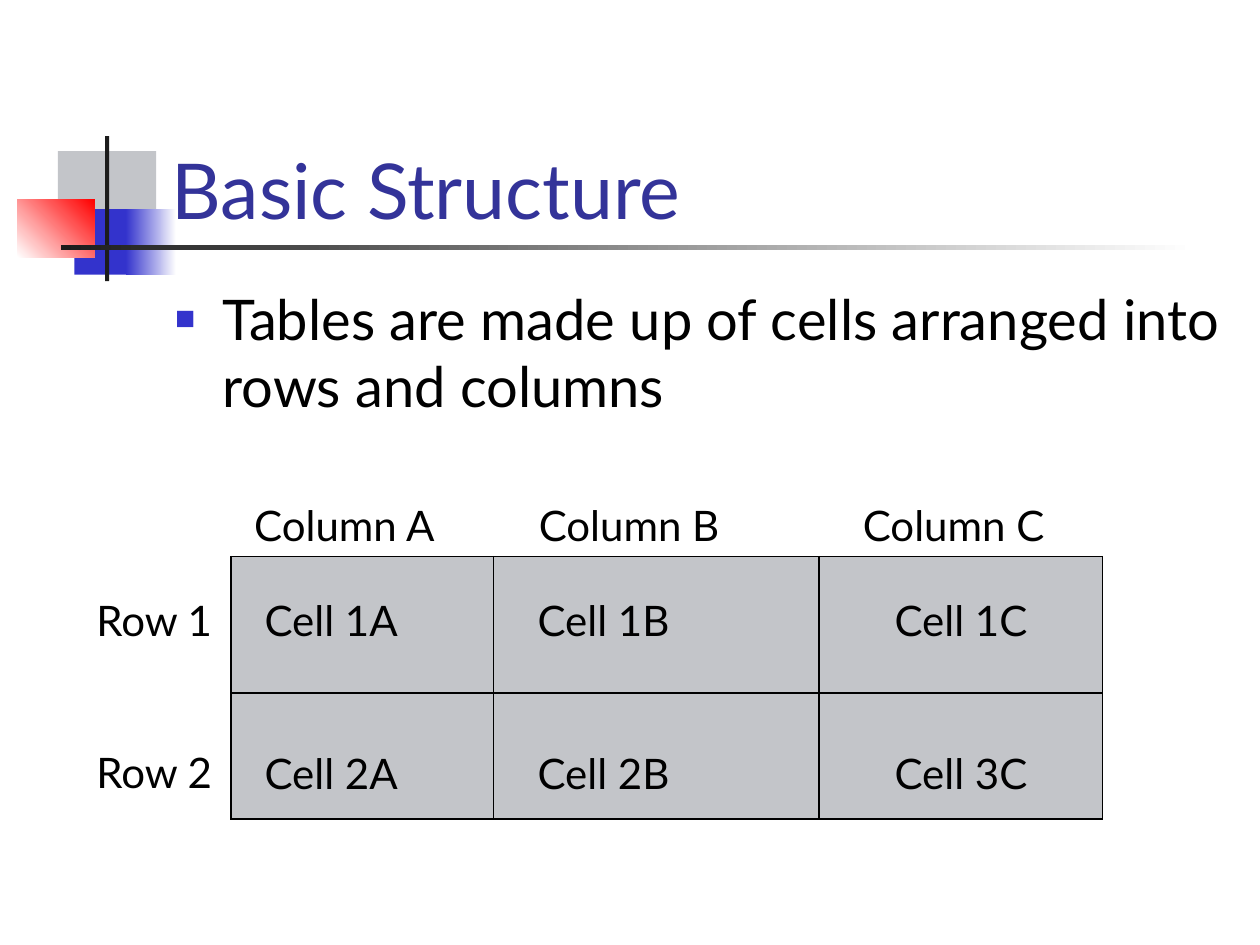
from lxml.etree import SubElement
from pptx import Presentation
from pptx.dml.color import RGBColor
from pptx.enum.shapes import MSO_SHAPE
from pptx.enum.text import MSO_ANCHOR
from pptx.oxml.ns import qn
from pptx.util import Pt

FONT = "Lato"
BLACK = RGBColor(0x00, 0x00, 0x00)
WHITE = RGBColor(0xFF, 0xFF, 0xFF)
GREY = RGBColor(0xC3, 0xC5, 0xC9)
BLUE = RGBColor(0x33, 0x33, 0xCC)
NAVY = RGBColor(0x33, 0x33, 0x99)
RED = RGBColor(0xFF, 0x00, 0x00)
DARK = RGBColor(0x1C, 0x1C, 0x1C)

# Left, top, width, height, fill colours and gradient angle
ORNAMENTS = [
    (33.1, 86.4, 34.6, 37.4, [GREY], 0),
    (63.4, 86.4, 25.9, 37.4, [GREY], 0),
    (42.5, 119.5, 33.1, 37.4, [BLUE], 0),
    (72, 119.5, 28.8, 37.4, [BLUE, WHITE], 0),
    (10, 113.8, 44, 33.1, [WHITE, RED], 45),
    (60, 77.8, 2.4, 82.8, [DARK], 0),
    (34.8, 140.2, 648, 2.4, [DARK, WHITE], 0),
]

TABLE_LEFT, TABLE_TOP = 132, 318
COLUMN_WIDTHS = [150, 186, 162]
ROW_HEIGHTS = [78, 72]
CELL_LEFT_MARGINS = [19.2, 25.2, 43.2]
CELL_TOP_MARGINS = [22, 31.4]
CELLS = [["Cell 1A", "Cell 1B", "Cell 1C"], ["Cell 2A", "Cell 2B", "Cell 3C"]]
COLUMN_LABELS = [("Column A", 145.4), ("Column B", 308), ("Column C", 493.2)]
ROW_LABELS = ["Row 1", "Row 2"]


def add_span(para, text, size, color=BLACK):
    """Add one formatted run to a paragraph."""
    span = para.add_run()
    span.text = text
    span.font.name = FONT
    span.font.size = Pt(size)
    span.font.color.rgb = color


def add_box(page, left, top, width, height, anchor=MSO_ANCHOR.TOP):
    """Add an empty wrapping text box and return its text frame."""
    box = page.shapes.add_textbox(Pt(left), Pt(top), Pt(width), Pt(height))
    frame = box.text_frame
    frame.word_wrap = True
    frame.vertical_anchor = anchor
    return frame


def add_ornament(page, left, top, width, height, colors, angle):
    """Add a borderless rectangle with a plain or gradient fill."""
    block = page.shapes.add_shape(
        MSO_SHAPE.RECTANGLE, Pt(left), Pt(top), Pt(width), Pt(height))
    block.shadow.inherit = False
    block.line.fill.background()
    if len(colors) == 1:
        block.fill.solid()
        block.fill.fore_color.rgb = colors[0]
        return
    block.fill.gradient()
    block.fill.gradient_angle = angle
    for stop, color, position in zip(block.fill.gradient_stops, colors, (0, 1)):
        stop.color.rgb = color
        stop.position = position


def set_bullet(para, color, percent, character, indent):
    """Give a paragraph a coloured bullet and a hanging indent."""
    properties = para._p.get_or_add_pPr()
    properties.set("marL", str(Pt(indent)))
    properties.set("indent", str(-Pt(indent)))
    bullet_color = SubElement(properties, qn("a:buClr"))
    SubElement(bullet_color, qn("a:srgbClr"), val=str(color))
    SubElement(properties, qn("a:buSzPct"), val=str(percent * 1000))
    SubElement(properties, qn("a:buFont"), typeface="Arial")
    SubElement(properties, qn("a:buChar"), char=character)


def set_borders(cell, color, width):
    """Draw all four borders of a table cell, ahead of its fill."""
    properties = cell._tc.get_or_add_tcPr()
    for position, side in enumerate(("lnL", "lnR", "lnT", "lnB")):
        line = SubElement(properties, qn(f"a:{side}"), w=str(Pt(width)))
        fill = SubElement(line, qn("a:solidFill"))
        SubElement(fill, qn("a:srgbClr"), val=str(color))
        properties.insert(position, line)


def add_cell_table(page):
    """Add the sample table with its grey cells."""
    table = page.shapes.add_table(
        len(ROW_HEIGHTS), len(COLUMN_WIDTHS), Pt(TABLE_LEFT), Pt(TABLE_TOP),
        Pt(sum(COLUMN_WIDTHS)), Pt(sum(ROW_HEIGHTS))).table
    table.first_row = table.horz_banding = False
    for column, width in zip(table.columns, COLUMN_WIDTHS):
        column.width = Pt(width)
    for row, height, top, texts in zip(
            table.rows, ROW_HEIGHTS, CELL_TOP_MARGINS, CELLS):
        row.height = Pt(height)
        for cell, left, text in zip(row.cells, CELL_LEFT_MARGINS, texts):
            cell.margin_left, cell.margin_top = Pt(left), Pt(top)
            cell.margin_bottom = Pt(0)
            cell.fill.solid()
            cell.fill.fore_color.rgb = GREY
            set_borders(cell, BLACK, 0.74)
            add_span(cell.text_frame.paragraphs[0], text, 24)


def add_labels(page):
    """Name the columns above the table and the rows beside it."""
    for text, left in COLUMN_LABELS:
        frame = add_box(page, left - 7.2, 282, 130, 36)
        add_span(frame.paragraphs[0], text, 24)
    frame = add_box(page, 48, 336, 90, 124)
    add_span(frame.paragraphs[0], ROW_LABELS[0], 24)
    second = frame.add_paragraph()
    second.space_before = Pt(58.4)
    add_span(second, ROW_LABELS[1], 24)


def main():
    """Build the slide and save it."""
    deck = Presentation()
    deck.slide_width, deck.slide_height = Pt(720), Pt(540)
    page = deck.slides.add_slide(deck.slide_layouts[6])
    for ornament in ORNAMENTS:
        add_ornament(page, *ornament)
    title = add_box(page, 91, 48, 613, 90, MSO_ANCHOR.BOTTOM)
    add_span(title.paragraphs[0], "Basic Structure", 44, NAVY)
    body = add_box(page, 93, 159, 612, 123).paragraphs[0]
    set_bullet(body, BLUE, 60, "\u25a0", 27)
    add_span(body, "Tables are made up of cells arranged into rows and columns", 32)
    add_cell_table(page)
    add_labels(page)
    deck.save("out.pptx")


main()
